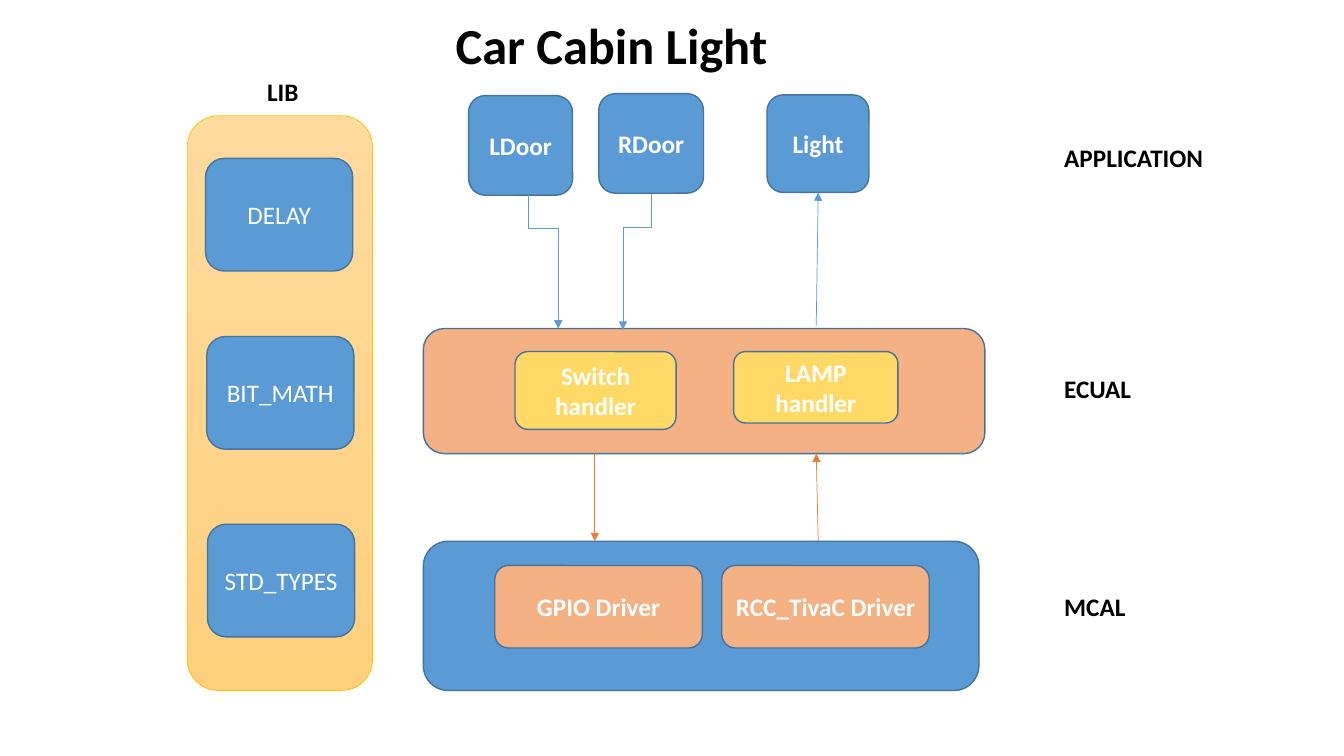
import dataclasses

import pptx
import pptx.dml.color
import pptx.enum.shapes
import pptx.enum.text
import pptx.oxml.ns
import pptx.oxml.xmlchemy
import pptx.util

Cm = pptx.util.Cm
Pt = pptx.util.Pt
KIND = pptx.enum.shapes.MSO_SHAPE
LINK = pptx.enum.shapes.MSO_CONNECTOR
ALIGN = pptx.enum.text.PP_ALIGN
ANCHOR = pptx.enum.text.MSO_ANCHOR
BLUE, PEACH, YELLOW, EDGE = "5B9BD5", "F4B183", "FFD966", "43739E"
ORANGE, GOLD, WHITE, BLACK = "ED7D31", "FFC000", "FFFFFF", "000000"


@dataclasses.dataclass
class Box:
    left: float
    top: float
    width: float
    height: float
    fill: str
    text: str = ""
    bold: bool = True
    kind: int = KIND.ROUNDED_RECTANGLE


@dataclasses.dataclass
class Label:
    text: str
    left: float
    top: float
    width: float


@dataclasses.dataclass
class Arrow:
    x1: float
    y1: float
    x2: float
    y2: float
    hue: str
    bent: bool = False


def paint(color, code: str) -> None:
    color.rgb = pptx.dml.color.RGBColor.from_string(code)


def write(frame, text: str, size: int, hue: str, bold: bool, align) -> None:
    para = frame.paragraphs[0]
    para.alignment = align
    run = para.add_run()
    run.text = text
    run.font.name = "Calibri"
    run.font.size = Pt(size)
    run.font.bold = bold
    paint(run.font.color, hue)


def draw_box(slide, box: Box):
    shape = slide.shapes.add_shape(
        box.kind, Cm(box.left), Cm(box.top), Cm(box.width), Cm(box.height))
    shape.shadow.inherit = False
    shape.fill.solid()
    paint(shape.fill.fore_color, box.fill)
    paint(shape.line.color, EDGE)
    shape.line.width = Pt(1)
    if box.text:
        frame = shape.text_frame
        frame.word_wrap = True
        frame.vertical_anchor = ANCHOR.MIDDLE
        frame.margin_left = frame.margin_right = Cm(0.22)
        write(frame, box.text, 18, WHITE, box.bold, ALIGN.CENTER)
    return shape


def draw_label(slide, label: Label) -> None:
    area = slide.shapes.add_textbox(
        Cm(label.left), Cm(label.top), Cm(label.width), Cm(1.02))
    frame = area.text_frame
    frame.word_wrap = True
    frame.margin_right = 0
    write(frame, label.text, 18, BLACK, True, ALIGN.LEFT)


def draw_arrow(slide, arrow: Arrow) -> None:
    x1, y1, x2, y2 = arrow.x1, arrow.y1, arrow.x2, arrow.y2
    kind = LINK.STRAIGHT
    if arrow.bent:
        kind = LINK.ELBOW
        mid_x, mid_y = (x1 + x2) / 2, (y1 + y2) / 2
        half_x, half_y = (x1 - x2) / 2, (y2 - y1) / 2
        x1, x2 = mid_x - half_y, mid_x + half_y
        y1, y2 = mid_y - half_x, mid_y + half_x
    line = slide.shapes.add_connector(kind, Cm(x1), Cm(y1), Cm(x2), Cm(y2))
    paint(line.line.color, arrow.hue)
    line.line.width = Pt(0.5)
    props = line._element.spPr
    tag = pptx.oxml.ns.qn
    make = pptx.oxml.xmlchemy.OxmlElement
    if arrow.bent:
        props.find(tag("a:xfrm")).set("rot", "5400000")
        guides = props.find(tag("a:prstGeom")).find(tag("a:avLst"))
        guide = make("a:gd")
        guide.set("name", "adj1")
        guide.set("fmla", "val 24500")
        guides.append(guide)
    tail = make("a:tailEnd")
    tail.set("type", "triangle")
    props.find(tag("a:ln")).append(tail)
    props.append(make("a:effectLst"))


def draw_title(slide, text: str) -> None:
    title = slide.shapes.title
    title.left, title.top = Cm(11.23), Cm(0.23)
    title.width, title.height = Cm(11.43), Cm(1.8)
    frame = title.text_frame
    frame.auto_size = pptx.enum.text.MSO_AUTO_SIZE.NONE
    frame.vertical_anchor = ANCHOR.TOP
    write(frame, text, 36, BLACK, True, ALIGN.LEFT)


def draw_panel(slide) -> None:
    panel = draw_box(slide, Box(4.72, 2.92, 4.67, 14.48, WHITE))
    panel.fill.gradient()
    panel.fill.gradient_angle = 270
    for stop, code in zip(panel.fill.gradient_stops, ("FFDB9E", "FFD07C")):
        paint(stop.color, code)
    paint(panel.line.color, GOLD)
    panel.line.width = Pt(0.5)


BAND = KIND.FLOWCHART_ALTERNATE_PROCESS
BOXES = [
    Box(10.67, 13.64, 14, 3.76, BLUE, kind=BAND),
    Box(12.47, 14.25, 5.23, 2.08, PEACH, "GPIO Driver"),
    Box(18.19, 14.25, 5.23, 2.08, PEACH, "RCC_TivaC Driver"),
    Box(10.67, 8.28, 14.15, 3.15, PEACH, kind=BAND),
    Box(12.98, 8.86, 4.06, 1.96, YELLOW, "Switch handler"),
    Box(18.49, 8.86, 4.14, 1.8, YELLOW, "LAMP handler"),
    Box(11.81, 2.41, 2.62, 2.51, BLUE, "LDoor"),
    Box(15.09, 2.36, 2.64, 2.51, BLUE, "RDoor"),
    Box(19.33, 2.39, 2.57, 2.46, BLUE, "Light"),
]
LIBS = [
    Box(left, top, 3.71, 2.84, BLUE, text, False)
    for left, top, text in [
        (5.18, 3.99, "DELAY"),
        (5.21, 8.48, "BIT_MATH"),
        (5.23, 13.21, "STD_TYPES"),
    ]
]
LABELS = [
    Label("LIB", 6.48, 1.8, 1.32),
    Label("APPLICATION", 26.57, 3.45, 4.42),
    Label("ECUAL", 26.57, 9.27, 3.89),
    Label("MCAL", 26.57, 14.78, 3.89),
]
ARROWS = [
    Arrow(13.31, 4.92, 14.07, 8.28, BLUE, True),
    Arrow(16.41, 4.88, 15.7, 8.31, BLUE, True),
    Arrow(20.57, 8.2, 20.62, 4.85, BLUE),
    Arrow(14.99, 11.43, 14.99, 13.64, ORANGE),
    Arrow(20.62, 13.64, 20.57, 11.43, ORANGE),
]

deck = pptx.Presentation()
deck.slide_width, deck.slide_height = Cm(33.87), Cm(19.05)
slide = deck.slides.add_slide(deck.slide_layouts[5])
draw_title(slide, "Car Cabin Light")
draw_panel(slide)
for box in BOXES + LIBS:
    draw_box(slide, box)
for label in LABELS:
    draw_label(slide, label)
for arrow in ARROWS:
    draw_arrow(slide, arrow)
deck.save("out.pptx")
